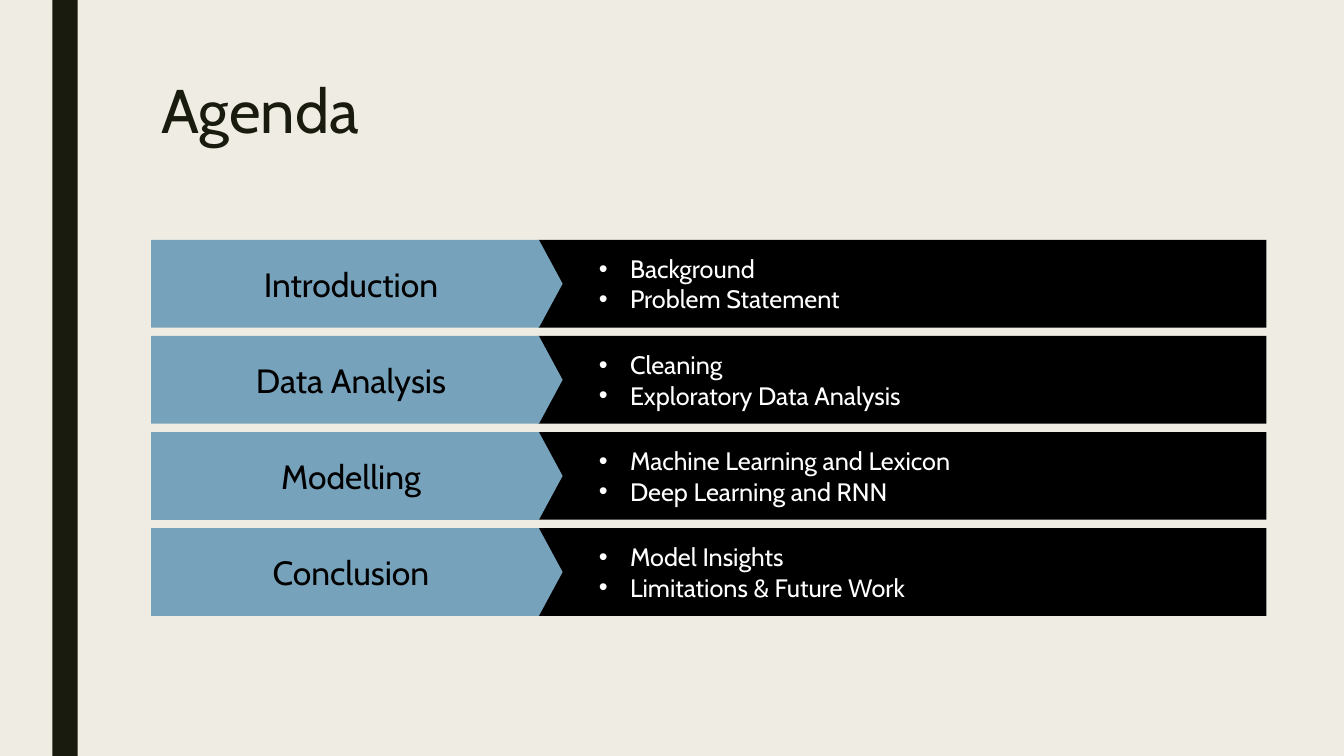
from pptx import Presentation
from pptx.dml.color import RGBColor
from pptx.enum.shapes import MSO_SHAPE as Preset
from pptx.enum.text import MSO_ANCHOR as Anchor, PP_ALIGN as Align
from pptx.oxml.ns import qn
from pptx.util import Inches, Pt
from lxml.etree import SubElement

CREAM = RGBColor(0xEF, 0xED, 0xE3)
DARK = RGBColor(0x19, 0x1B, 0x0E)
BLUE = RGBColor(0x77, 0xA2, 0xBB)
BLACK = RGBColor(0, 0, 0)
WHITE = RGBColor(0xFF, 0xFF, 0xFF)

TITLE_FONT = {"name": "Cabin", "size": Pt(44)}
LABEL_FONT = {"name": "Cabin", "size": Pt(24)}
TOPIC_FONT = {"name": "Cabin", "size": Pt(18)}
FRAME_FORMAT = {
    "word_wrap": True,
    "vertical_anchor": Anchor.MIDDLE,
    "margin_left": Inches(0.1),
    "margin_right": Inches(0.1),
    "margin_top": Inches(0.1),
    "margin_bottom": Inches(0.1),
}

AGENDA = [
    ("Introduction", ["Background", "Problem Statement"]),
    ("Data Analysis", ["Cleaning", "Exploratory Data Analysis"]),
    ("Modelling", ["Machine Learning and Lexicon", "Deep Learning and RNN"]),
    ("Conclusion", ["Model Insights", "Limitations & Future Work"]),
]
ROW_HEIGHT = 0.87
LABEL_WIDTH = 4.08
TOPICS_OFFSET = 3.84


def set_format(target, values):
    for name, value in values.items():
        setattr(target, name, value)


def add_span(para, text, font, color):
    span = para.add_run()
    span.text = text
    set_format(span.font, font)
    span.font.color.rgb = color


def add_panel(shapes, preset, box, color):
    panel = shapes.add_shape(preset, *map(Inches, box))
    panel.shadow.inherit = False
    panel.fill.solid()
    panel.fill.fore_color.rgb = color
    panel.line.fill.background()
    set_format(panel.text_frame, FRAME_FORMAT)
    return panel


def add_bullet(para):
    properties = para._p.get_or_add_pPr()
    properties.set("marL", str(Inches(0.81)))
    properties.set("indent", str(Inches(-0.31)))
    SubElement(properties, qn("a:buFont")).set("typeface", "Arial")
    SubElement(properties, qn("a:buChar")).set("char", "•")


def add_title(page, box, text):
    title = page.shapes.add_textbox(*map(Inches, box))
    title.text_frame.word_wrap = True
    para = title.text_frame.paragraphs[0]
    para.line_spacing = 0.89
    add_span(para, text, TITLE_FONT, DARK)


def add_agenda_row(page, box, label, topics):
    """Group a topics panel with the label arrow that overlaps its left end."""
    left, top, width, height = box
    shapes = page.shapes.add_group_shape().shapes

    topics_box = (left + TOPICS_OFFSET, top, width - TOPICS_OFFSET, height)
    frame = add_panel(shapes, Preset.RECTANGLE, topics_box, BLACK).text_frame
    for index, topic in enumerate(topics):
        para = frame.add_paragraph() if index else frame.paragraphs[0]
        set_format(para, {"level": 1, "alignment": Align.LEFT})
        add_bullet(para)
        add_span(para, topic, TOPIC_FONT, WHITE)

    arrow = add_panel(shapes, Preset.PENTAGON, (left, top, LABEL_WIDTH, height), BLUE)
    arrow.adjustments[0] = 0.27
    para = arrow.text_frame.paragraphs[0]
    para.alignment = Align.CENTER
    add_span(para, label, LABEL_FONT, BLACK)


def add_agenda(page, box):
    """Spread the rows evenly from the top to the bottom of the box."""
    left, top, width, height = box
    pitch = (height - ROW_HEIGHT) / (len(AGENDA) - 1)
    for index, (label, topics) in enumerate(AGENDA):
        row_box = (left, top + index * pitch, width, ROW_HEIGHT)
        add_agenda_row(page, row_box, label, topics)


def main():
    deck = Presentation()
    deck.slide_width, deck.slide_height = Inches(13.33), Inches(7.5)
    page = deck.slides.add_slide(deck.slide_layouts[6])
    page.background.fill.solid()
    page.background.fill.fore_color.rgb = CREAM

    add_panel(page.shapes, Preset.RECTANGLE, (0.52, 0, 0.25, 7.5), DARK)
    add_title(page, (1.5, 0.75, 10.5, 1.62), "Agenda")
    add_agenda(page, (1.5, 2.38, 11.06, 3.73))
    deck.save("out.pptx")


if __name__ == "__main__":
    main()
